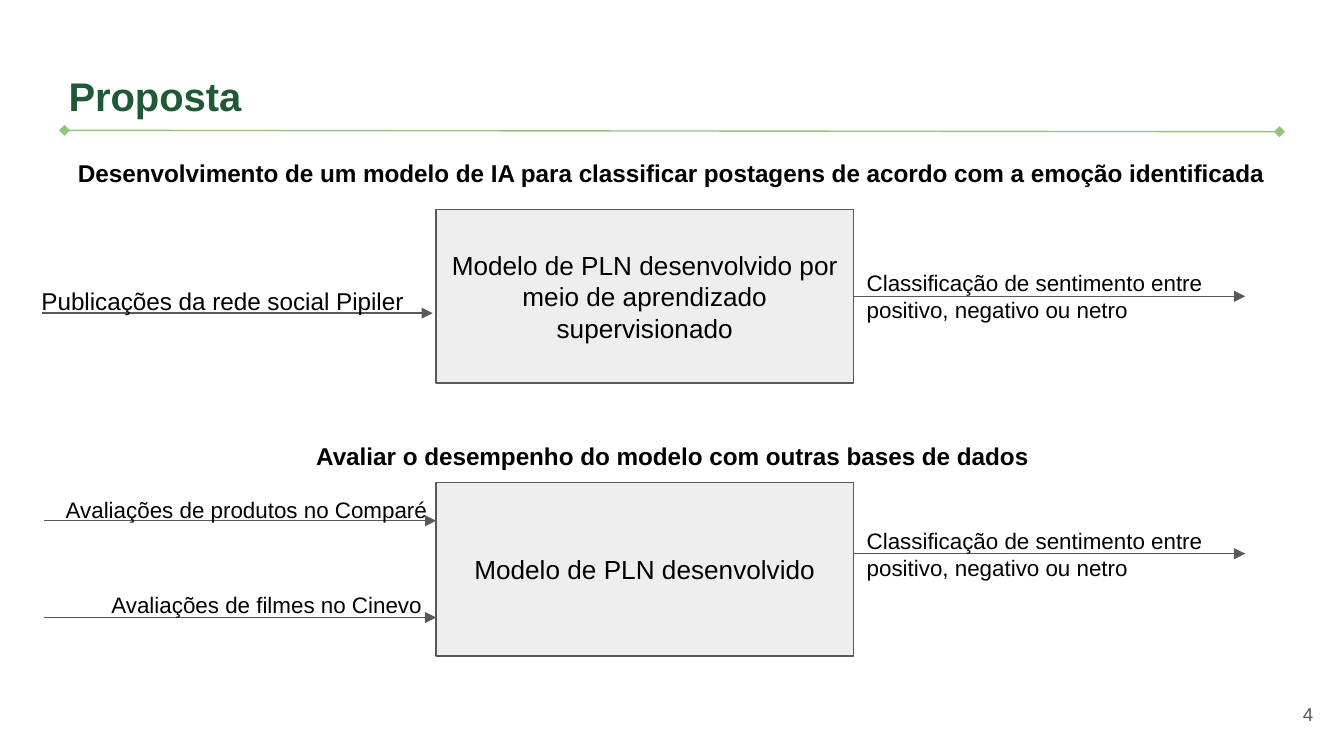
import dataclasses

import lxml.etree
import pptx
import pptx.dml.color
import pptx.enum.shapes
import pptx.enum.text
import pptx.oxml.ns
import pptx.util

COLS, ROWS = 100, 56.25
WIDE = pptx.util.Inches(10)
HIGH = WIDE * 9 // 16
FONT = "Arial"
BLACK, GREY, PALE = "000000", "595959", "EEEEEE"
DARK, LIGHT = "1E5A36", "93C47D"
ALIGN = pptx.enum.text.PP_ALIGN
ANCHOR = pptx.enum.text.MSO_ANCHOR
LEFT, RIGHT, END = 32.45, 63.5, 92.65
RESULT = "Classificação de sentimento entre positivo, negativo ou netro"


@dataclasses.dataclass
class Area:
    col: float
    row: float
    cols: float
    rows: float = 4.3


@dataclasses.dataclass
class Label:
    text: str
    area: Area
    size: float = 12


@dataclasses.dataclass
class Model:
    text: str
    row: float


@dataclasses.dataclass
class Arrow:
    start: float
    end: float
    row: float


MODELS = [
    Model("Modelo de PLN desenvolvido por meio de aprendizado supervisionado", 15.6),
    Model("Modelo de PLN desenvolvido", 35.9),
]
LABELS = [
    Label("Publicações da rede social Pipiler", Area(2.1, 20.3, 31.8), 13),
    Label("Avaliações de produtos no Comparé", Area(3.9, 35.9, 29.1)),
    Label("Avaliações de filmes no Cinevo", Area(7.3, 43, 29.1)),
    Label(RESULT, Area(RIGHT, 19.05, 29.1)),
    Label(RESULT, Area(RIGHT, 38.25, 29.1)),
]
ARROWS = [
    Arrow(3.1, 32.2, 23.3),
    Arrow(3.3, LEFT, 38.75),
    Arrow(3.3, LEFT, 45.95),
    Arrow(RIGHT, END, 22.05),
    Arrow(RIGHT, END, 41.2),
]


def across(cols: float) -> int:
    return round(WIDE * cols / COLS)


def down(rows: float) -> int:
    return round(HIGH * rows / ROWS)


def place(area: Area) -> tuple[int, int, int, int]:
    return across(area.col), down(area.row), across(area.cols), down(area.rows)


def tint(code: str) -> pptx.dml.color.RGBColor:
    return pptx.dml.color.RGBColor.from_string(code)


def write(shape, text: str, *, size: float = 12, bold: bool = False,
          color: str = BLACK, align=ALIGN.LEFT, anchor=ANCHOR.TOP) -> None:
    frame = shape.text_frame
    frame.word_wrap = True
    frame.auto_size = pptx.enum.text.MSO_AUTO_SIZE.NONE
    frame.vertical_anchor = anchor
    inset = pptx.util.Inches(0.1)
    frame.margin_left = frame.margin_right = inset
    frame.margin_top = frame.margin_bottom = inset
    frame.text = text
    para = frame.paragraphs[0]
    para.alignment = align
    para.space_before = pptx.util.Pt(0)
    font = para.runs[0].font
    font.name, font.size, font.bold = FONT, pptx.util.Pt(size), bold
    font.color.rgb = tint(color)


def fill_holder(shape, text: str, area: Area, **style) -> None:
    shape.left, shape.top, shape.width, shape.height = place(area)
    write(shape, text, bold=True, **style)
    props = shape.text_frame.paragraphs[0]._p.get_or_add_pPr()
    props.set("marL", "0")
    props.set("indent", "0")
    lxml.etree.SubElement(props, pptx.oxml.ns.qn("a:buNone"))


def add_text(slide, text: str, area: Area, **style) -> None:
    write(slide.shapes.add_textbox(*place(area)), text, **style)


def add_model(slide, model: Model) -> None:
    kind = pptx.enum.shapes.MSO_SHAPE.RECTANGLE
    area = Area(LEFT, model.row, RIGHT - LEFT, 12.9)
    box = slide.shapes.add_shape(kind, *place(area))
    box.shadow.inherit = False
    box.fill.solid()
    box.fill.fore_color.rgb = tint(PALE)
    box.line.color.rgb = tint(GREY)
    box.line.width = pptx.util.Pt(0.75)
    write(box, model.text, size=14, align=ALIGN.CENTER, anchor=ANCHOR.MIDDLE)


def add_line(slide, arrow: Arrow, *, drop: float = 0, color: str = GREY,
             **ends: str) -> None:
    kind = pptx.enum.shapes.MSO_CONNECTOR.STRAIGHT
    line = slide.shapes.add_connector(
        kind, across(arrow.start), down(arrow.row),
        across(arrow.end), down(arrow.row + drop))
    line.line.color.rgb = tint(color)
    line.line.width = pptx.util.Pt(0.75)
    props = line._element.spPr
    stroke = line.line._get_or_add_ln()
    for end, form in ends.items():
        lxml.etree.SubElement(stroke, pptx.oxml.ns.qn(f"a:{end}"), type=form)
    lxml.etree.SubElement(props, pptx.oxml.ns.qn("a:effectLst"))


def main() -> None:
    deck = pptx.Presentation()
    deck.slide_width, deck.slide_height = WIDE, HIGH
    slide = deck.slides.add_slide(deck.slide_layouts[3])
    title, goal, test = slide.placeholders
    fill_holder(title, "Proposta", Area(4.1, 4.3, 91.8, 6.3), size=21.4, color=DARK)
    fill_holder(goal, "Desenvolvimento de um modelo de IA para classificar postagens "
                "de acordo com a emoção identificada", Area(4.8, 10.8, 93.9, 5.8), size=13)
    fill_holder(test, "Avaliar o desempenho do modelo com outras bases de dados",
                Area(3.05, 31.8, 93.9), size=13, align=ALIGN.CENTER)
    add_line(slide, Arrow(4.8, 95.2, 9.7), drop=0.1, color=LIGHT,
             headEnd="diamond", tailEnd="diamond")
    for model in MODELS:
        add_model(slide, model)
    for arrow in ARROWS:
        add_line(slide, arrow, tailEnd="triangle")
    for label in LABELS:
        add_text(slide, label.text, label.area, size=label.size)
    add_text(slide, "4", Area(92.7, 51, 6), size=10, color=GREY,
             align=ALIGN.RIGHT, anchor=ANCHOR.MIDDLE)
    deck.save("out.pptx")


if __name__ == "__main__":
    main()
